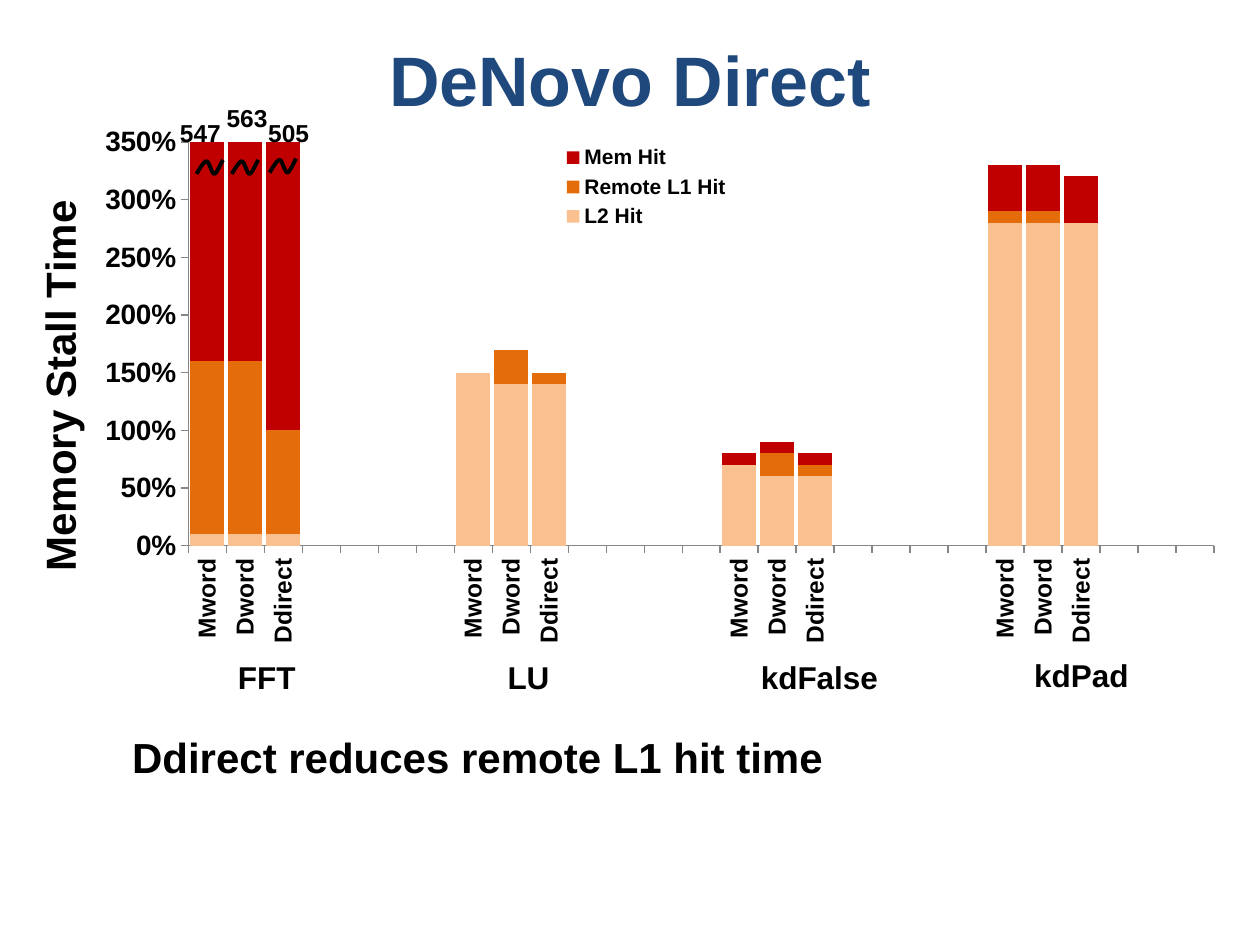
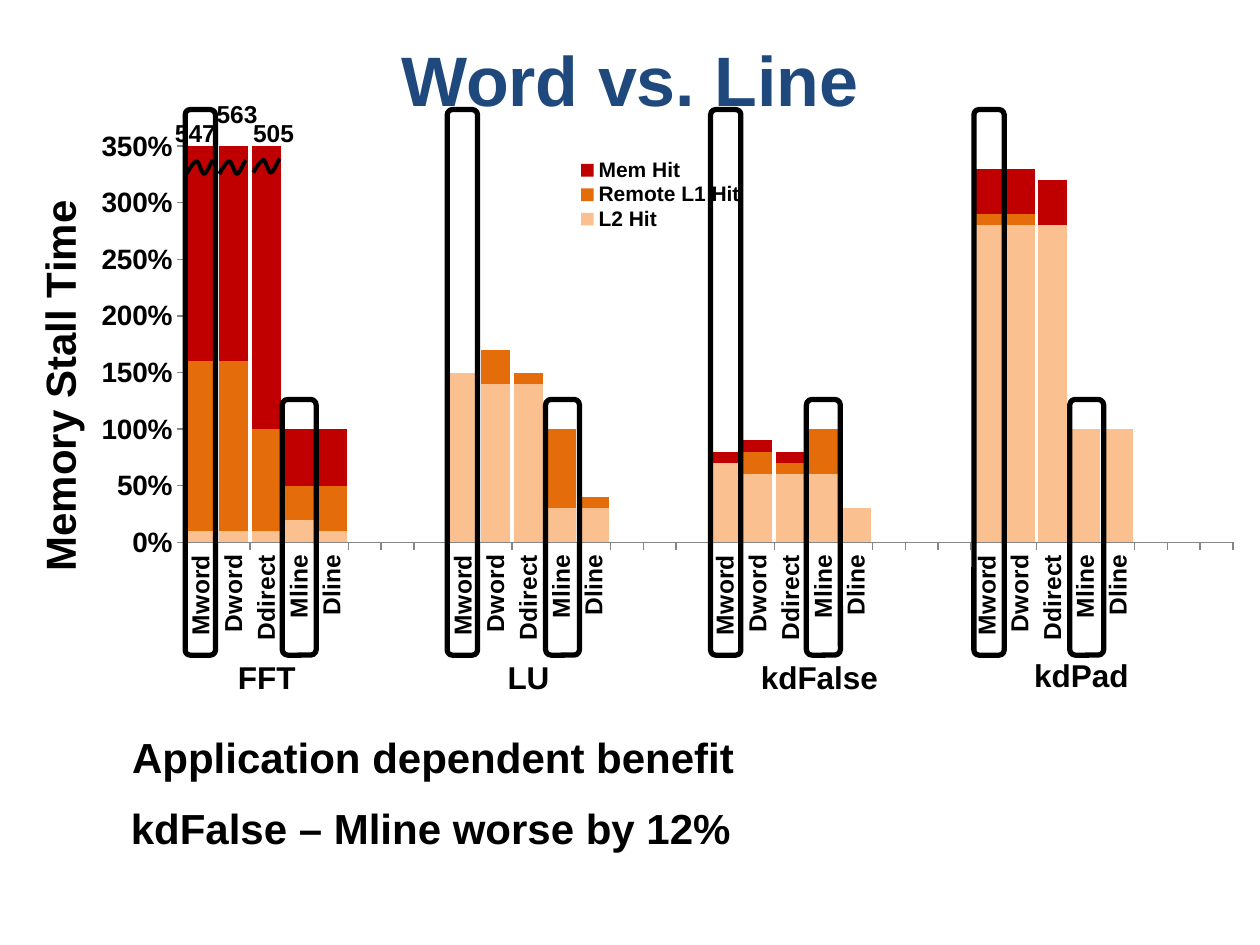
"""Build two slides comparing memory stall time across cache protocols."""
from dataclasses import dataclass

from pptx import Presentation
from pptx.chart.data import CategoryChartData
from pptx.dml.color import RGBColor
from pptx.enum.chart import XL_CHART_TYPE as ChartType
from pptx.enum.chart import XL_LEGEND_POSITION as LegendPosition
from pptx.enum.chart import XL_TICK_MARK as TickMark
from pptx.enum.shapes import MSO_SHAPE as Preset
from pptx.enum.text import MSO_ANCHOR as Anchor
from pptx.enum.text import MSO_AUTO_SIZE as AutoSize
from pptx.enum.text import PP_ALIGN as Align
from pptx.oxml import parse_xml
from pptx.oxml.ns import nsdecls, qn
from pptx.util import Inches, Pt


@dataclass(frozen=True)
class Theme:
    font: str = "Arial"
    ink: str = "000000"
    heading: str = "1F497D"
    axis: str = "868686"
    level_colors: tuple = ("FAC090", "E46C0A", "C00000")
    title_size: float = 40
    takeaway_size: float = 24
    benchmark_size: float = 18
    scale_size: float = 16
    label_size: float = 14
    legend_size: float = 12
    squiggle_width: float = 2.25
    highlight_width: float = 3


LEVELS = ("L2 Hit", "Remote L1 Hit", "Mem Hit")
PROTOCOLS = ("Mword", "Dword", "Ddirect", "Mline", "Dline")
STALL_TIMES = {
    "FFT": ((0.1, 1.5, 3.8), (0.1, 1.5, 4), (0.1, 0.9, 4),
            (0.2, 0.3, 0.5), (0.1, 0.4, 0.5)),
    "LU": ((1.5, 0, 0), (1.4, 0.3, 0), (1.4, 0.1, 0),
           (0.3, 0.7, 0), (0.3, 0.1, 0)),
    "kdFalse": ((0.7, 0, 0.1), (0.6, 0.2, 0.1), (0.6, 0.1, 0.1),
                (0.6, 0.4, 0), (0.3, 0, 0)),
    "kdPad": ((2.8, 0.1, 0.4), (2.8, 0.1, 0.4), (2.8, 0, 0.4),
              (1, 0, 0), (1, 0, 0)),
}
BENCHMARK_SPOTS = {"FFT": (1.79, 5.17), "LU": (3.93, 5.17),
                   "kdFalse": (5.94, 5.17), "kdPad": (8.11, 5.16)}
TRAILING_BLANKS = 3
SQUIGGLE_START = (0, 0.11)
SQUIGGLE_CURVES = (
    ((0.03, 0.06), (0.06, 0.01), (0.08, 0.01)),
    ((0.1, 0.01), (0.12, 0.11), (0.14, 0.11)),
    ((0.16, 0.11), (0.19, 0.03), (0.21, 0)),
)
CURVE_STEPS = 8


def squiggle_points():
    start = SQUIGGLE_START
    points = [start]
    for curve in SQUIGGLE_CURVES:
        for step in range(1, CURVE_STEPS + 1):
            t = step / CURVE_STEPS
            weights = ((1 - t) ** 3, 3 * t * (1 - t) ** 2, 3 * t * t * (1 - t), t ** 3)
            points.append(tuple(
                sum(w * p[axis] for w, p in zip(weights, (start, *curve)))
                for axis in (0, 1)))
        start = curve[-1]
    return points


def stall_data(protocol_count, gap):
    labels, rows = [], []
    for times in STALL_TIMES.values():
        if rows:
            labels += [""] * gap
            rows += [(None,) * len(LEVELS)] * gap
        labels += PROTOCOLS[:protocol_count]
        rows += times[:protocol_count]
    data = CategoryChartData(number_format="0%")
    data.categories = labels + [""] * TRAILING_BLANKS
    for level, values in zip(LEVELS, zip(*rows)):
        data.add_series(level, values + (None,) * TRAILING_BLANKS)
    return data


def place(part, *percents, inner=False):
    for automatic in part.findall(qn("c:layout")):
        part.remove(automatic)
    settings = '<c:layoutTarget val="inner"/>' if inner else ""
    settings += '<c:xMode val="edge"/><c:yMode val="edge"/>'
    for tag, percent in zip("xywh", percents):
        settings += f'<c:{tag} val="{percent / 100:.3f}"/>'
    layout = parse_xml(f'<c:layout {nsdecls("c")}><c:manualLayout>{settings}'
                       '</c:manualLayout></c:layout>')
    overlay = part.find(qn("c:overlay"))
    if overlay is None:
        part.insert(0, layout)
    else:
        overlay.addprevious(layout)


class Deck:
    def __init__(self, theme):
        self.theme = theme
        self.presentation = Presentation()
        self.presentation.slide_width = Inches(10)
        self.presentation.slide_height = Inches(7.5)
        self.slide = None

    def style(self, font, size, color=None):
        font.name = self.theme.font
        font.size = Pt(size)
        font.bold = True
        font.color.rgb = RGBColor.from_string(color or self.theme.ink)

    def outline(self, shape, width):
        shape.shadow.inherit = False
        shape.fill.background()
        shape.line.color.rgb = RGBColor.from_string(self.theme.ink)
        shape.line.width = Pt(width)

    def new_slide(self, heading):
        self.slide = self.presentation.slides.add_slide(self.presentation.slide_layouts[5])
        title = self.slide.shapes.title
        title.left, title.top = Inches(0.5), Inches(0)
        title.width, title.height = Inches(9), Inches(1.25)
        title.text_frame.vertical_anchor = Anchor.MIDDLE
        paragraph = title.text_frame.paragraphs[0]
        paragraph.alignment = Align.CENTER
        run = paragraph.add_run()
        run.text = heading
        self.style(run.font, self.theme.title_size, self.theme.heading)

    def text(self, words, left, top, width, height, size):
        box = self.slide.shapes.add_textbox(
            Inches(left), Inches(top), Inches(width), Inches(height))
        box.text_frame.word_wrap = True
        box.text_frame.auto_size = AutoSize.SHAPE_TO_FIT_TEXT
        run = box.text_frame.paragraphs[0].add_run()
        run.text = words
        self.style(run.font, size)

    def clipped_total(self, words, left, top):
        self.text(words, left, top, 0.55, 0.34, self.theme.label_size)

    def takeaway(self, words, left, top):
        self.text(words, left, top, 8.38, 0.5, self.theme.takeaway_size)

    def benchmark_names(self):
        for name, (left, top) in BENCHMARK_SPOTS.items():
            self.text(name, left, top, 1.6, 0.4, self.theme.benchmark_size)

    def squiggle(self, left, top):
        points = [(Inches(left + x), Inches(top + y)) for x, y in squiggle_points()]
        builder = self.slide.shapes.build_freeform(*points[0])
        builder.add_line_segments(points[1:], close=False)
        self.outline(builder.convert_to_shape(), self.theme.squiggle_width)

    def highlight(self, left, top, width, height):
        frame = self.slide.shapes.add_shape(
            Preset.ROUNDED_RECTANGLE, Inches(left), Inches(top),
            Inches(width), Inches(height))
        self.outline(frame, self.theme.highlight_width)

    def stall_chart(self, data, top, height, plot_layout, legend_layout, title_layout):
        chart = self.slide.shapes.add_chart(
            ChartType.COLUMN_STACKED, Inches(0.2), Inches(top),
            Inches(9.59), Inches(height), data).chart
        chart.has_title = False
        chart.font.name = self.theme.font
        chart.font.size = Pt(10)
        bars = chart.plots[0]
        bars.gap_width, bars.overlap = 12, 100
        bars.vary_by_categories = False
        for series, color in zip(bars.series, self.theme.level_colors):
            series.invert_if_negative = False
            series.format.fill.solid()
            series.format.fill.fore_color.rgb = RGBColor.from_string(color)

        scale, protocols = chart.value_axis, chart.category_axis
        for axis, size in ((scale, self.theme.scale_size),
                           (protocols, self.theme.label_size)):
            axis.has_major_gridlines = False
            axis.major_tick_mark = TickMark.OUTSIDE
            axis.minor_tick_mark = TickMark.NONE
            axis.format.line.color.rgb = RGBColor.from_string(self.theme.axis)
            self.style(axis.tick_labels.font, size)
        scale.minimum_scale, scale.maximum_scale, scale.major_unit = 0, 3.5, 0.5
        scale.tick_labels.number_format = "0%"
        scale.tick_labels.number_format_is_linked = False
        run = scale.axis_title.text_frame.paragraphs[0].add_run()
        run.text = "Memory Stall Time"
        self.style(run.font, self.theme.takeaway_size)

        chart.has_legend = True
        chart.legend.position = LegendPosition.RIGHT
        chart.legend.include_in_layout = True
        self.style(chart.legend.font, self.theme.legend_size)

        root = chart.element
        for body in root.xpath(".//c:catAx/c:txPr/a:bodyPr | .//c:valAx/c:title//a:bodyPr"):
            body.set("rot", "-5400000")
            body.set("vert", "horz")
        place(root.xpath(".//c:plotArea")[0], *plot_layout, inner=True)
        place(root.xpath(".//c:legend")[0], *legend_layout)
        place(root.xpath(".//c:valAx/c:title")[0], *title_layout)


def direct_slide(deck):
    deck.new_slide("DeNovo Direct")
    deck.stall_chart(stall_data(3, 4), 1, 4.87, (13.5, 2.6, 84.9, 65.8),
                     (43.9, 2.2, 15, 15.5), (-0.5, 10.9))
    deck.takeaway("Ddirect reduces remote L1 hit time", 0.95, 5.76)
    for total, left, top in (("563", 1.7, 0.77), ("547", 1.33, 0.89), ("505", 2.03, 0.89)):
        deck.clipped_total(total, left, top)
    for left, top in ((1.56, 1.27), (1.84, 1.27), (2.14, 1.26)):
        deck.squiggle(left, top)
    deck.benchmark_names()


def line_slide(deck):
    deck.new_slide("Word vs. Line")
    deck.stall_chart(stall_data(5, 3), 1.04, 4.54, (13.2, 2.6, 86.8, 69.3),
                     (45.1, 4.5, 15, 13.2), (-0.5, 10.8))
    for total, left, top in (("563", 1.62, 0.74), ("547", 1.29, 0.89), ("505", 1.91, 0.89)):
        deck.clipped_total(total, left, top)
    for left, top in ((1.48, 1.27), (1.74, 1.27), (2.01, 1.26)):
        deck.squiggle(left, top)
    deck.benchmark_names()
    deck.takeaway("Application dependent benefit", 0.95, 5.76)
    deck.takeaway("kdFalse – Mline worse by 12%", 0.94, 6.32)
    for mline_left in (2.24, 4.33, 6.4, 8.49):
        deck.highlight(mline_left, 3.17, 0.27, 2.03)
    for mword_left in (1.47, 3.55, 5.64, 7.73):
        deck.highlight(mword_left, 0.87, 0.24, 4.33)


def main():
    deck = Deck(Theme())
    direct_slide(deck)
    line_slide(deck)
    deck.presentation.save("out.pptx")


if __name__ == "__main__":
    main()
